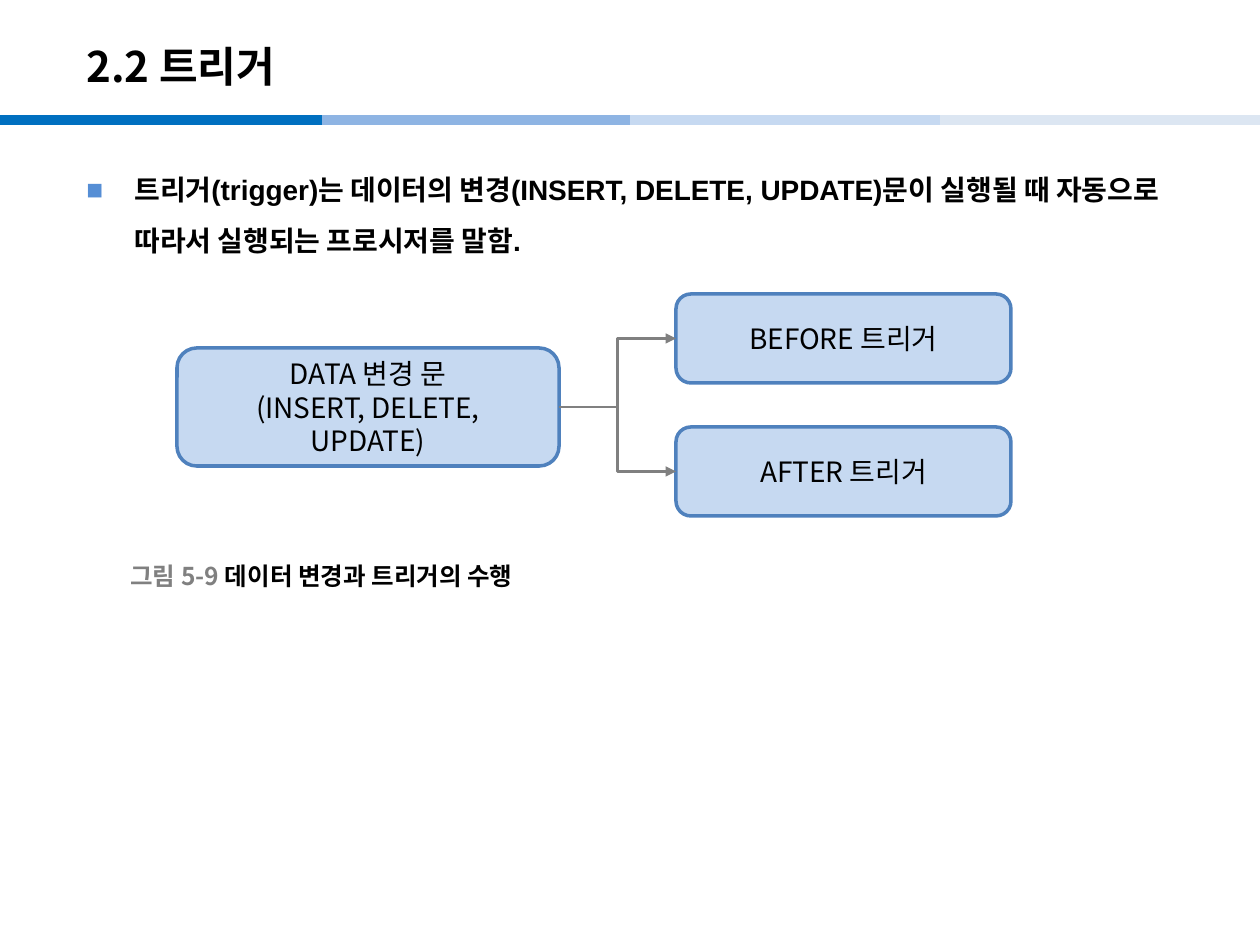
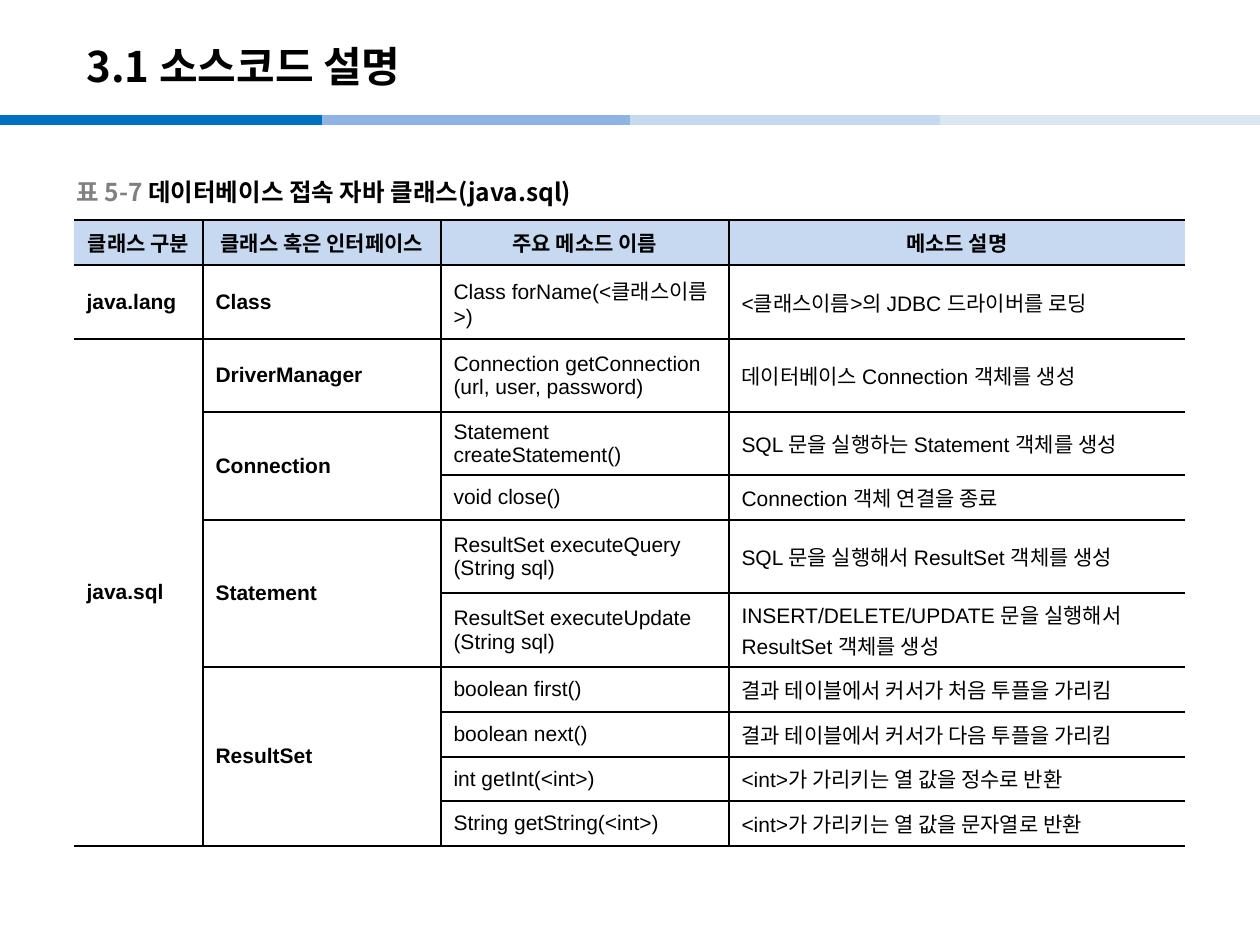
from itertools import pairwise

from lxml.etree import SubElement
from pptx import Presentation
from pptx.dml.color import RGBColor
from pptx.enum.shapes import MSO_CONNECTOR as Connector, MSO_SHAPE as Preset
from pptx.enum.text import MSO_ANCHOR as Anchor, PP_ALIGN as Align
from pptx.oxml.ns import qn
from pptx.util import Emu, Pt

SCALE = 914400 / 126
SANS = "Noto Sans CJK KR"
ARIAL = "Arial"
COLORS = {
    "text": "000000",
    "paper": "FFFFFF",
    "muted": "808080",
    "bullet": "558ED5",
    "outline": "4F81BD",
    "band1": "0070C0",
    "band2": "8EB4E3",
    "pale": "C6D9F1",
    "band4": "DCE6F2",
}
BANDS = ("band1", "band2", "pale", "band4")
BAND_EDGES = (0, 322, 630, 940, 1260)
BAND_Y = 120
LEFT_SITE, RIGHT_SITE = 1, 3

COLUMN_WIDTHS = (129, 238, 288, 456)
ROW_HEIGHTS = (45, 74, 73, 60, 45, 73, 74, 45, 45, 44, 45)
CLASS_ROWS = (
    ("클래스 구분", "클래스 혹은 인터페이스", "주요 메소드 이름", "메소드 설명"),
    ("java.lang", "Class", "Class forName(<클래스이름>)", "<클래스이름>의 JDBC 드라이버를 로딩"),
    ("java.sql", "DriverManager", "Connection getConnection\n(url, user, password)",
     "데이터베이스 Connection 객체를 생성"),
    ("", "Connection", "Statement createStatement()", "SQL 문을 실행하는 Statement 객체를 생성"),
    ("", "", "void close()", "Connection 객체 연결을 종료"),
    ("", "Statement", "ResultSet executeQuery\n(String sql)", "SQL 문을 실행해서 ResultSet 객체를 생성"),
    ("", "", "ResultSet executeUpdate\n(String sql)",
     "INSERT/DELETE/UPDATE 문을 실행해서\nResultSet 객체를 생성"),
    ("", "ResultSet", "boolean first()", "결과 테이블에서 커서가 처음 투플을 가리킴"),
    ("", "", "boolean next()", "결과 테이블에서 커서가 다음 투플을 가리킴"),
    ("", "", "int getInt(<int>)", "<int>가 가리키는 열 값을 정수로 반환"),
    ("", "", "String getString(<int>)", "<int>가 가리키는 열 값을 문자열로 반환"),
)
ROW_SPANS = ((0, 2, 10), (1, 3, 4), (1, 5, 6), (1, 7, 10))


def px(length):
    return Emu(round(length * SCALE))


def color(name):
    return RGBColor.from_string(COLORS[name])


class Deck:
    def __init__(self):
        self.presentation = Presentation()
        self.presentation.slide_width = px(1260)
        self.presentation.slide_height = px(945)
        self.slide = None

    def add_slide(self, title):
        self.slide = self.presentation.slides.add_slide(self.presentation.slide_layouts[6])
        for name, (start, end) in zip(BANDS, pairwise(BAND_EDGES)):
            band = self.slide.shapes.add_connector(
                Connector.STRAIGHT, px(start), px(BAND_Y), px(end), px(BAND_Y))
            self.style_line(band, name, 6)
        self.text(74, 28, 1042, 76, title, 24)

    def style_line(self, connector, name, width):
        connector.line.color.rgb = color(name)
        connector.line.width = Pt(width)
        SubElement(connector._element.spPr, qn("a:effectLst"))

    def style_paragraph(self, paragraph, size, face=SANS, bold=False, align=Align.LEFT):
        paragraph.alignment = align
        font = paragraph.font
        font.size = Pt(size)
        font.name = face
        font.bold = bold
        font.color.rgb = color("text")
        default_run = paragraph._p.pPr.find(qn("a:defRPr"))
        SubElement(default_run, qn("a:ea"), typeface=SANS)

    def fill_text(self, frame, text, *style):
        frame.text = text
        for paragraph in frame.paragraphs:
            self.style_paragraph(paragraph, *style)

    def text(self, left, top, width, height, text, size, face=SANS, anchor=Anchor.MIDDLE):
        box = self.slide.shapes.add_textbox(px(left), px(top), px(width), px(height))
        frame = box.text_frame
        frame.word_wrap = True
        frame.vertical_anchor = anchor
        self.fill_text(frame, text, size, face, True)
        return frame.paragraphs[0]

    def bullet(self, left, top, width, height, text):
        paragraph = self.text(left, top, width, height, text, 16, ARIAL, Anchor.TOP)
        paragraph.line_spacing = 1.5
        properties = paragraph._p.pPr
        properties.set("marL", str(px(48)))
        properties.set("indent", str(px(-48)))
        default_run = properties.find(qn("a:defRPr"))
        bullet_color = SubElement(properties, qn("a:buClr"))
        SubElement(bullet_color, qn("a:srgbClr"), val=COLORS["bullet"])
        SubElement(properties, qn("a:buFont"), typeface=ARIAL)
        SubElement(properties, qn("a:buChar"), char="■")
        properties.append(default_run)

    def caption(self, left, top, label, text):
        paragraph = self.text(left, top, 700, 39, label, 14)
        paragraph.runs[0].font.color.rgb = color("muted")
        paragraph.add_run().text = text

    def box(self, left, top, width, height, text):
        shape = self.slide.shapes.add_shape(
            Preset.ROUNDED_RECTANGLE, px(left), px(top), px(width), px(height))
        shape.shadow.inherit = False
        shape.fill.solid()
        shape.fill.fore_color.rgb = color("pale")
        shape.line.color.rgb = color("outline")
        shape.line.width = Pt(2)
        frame = shape.text_frame
        frame.word_wrap = True
        frame.margin_left = frame.margin_right = px(20)
        frame.vertical_anchor = Anchor.MIDDLE
        self.fill_text(frame, text, 16, SANS, False, Align.CENTER)
        return shape

    def arrow(self, source, target):
        connector = self.slide.shapes.add_connector(Connector.ELBOW, 0, 0, 0, 0)
        connector.begin_connect(source, RIGHT_SITE)
        connector.end_connect(target, LEFT_SITE)
        self.style_line(connector, "muted", 1.5)
        SubElement(connector.line._get_or_add_ln(), qn("a:tailEnd"), type="triangle")

    def border(self, cell, side, visible):
        line = SubElement(cell._tc.get_or_add_tcPr(), qn(f"a:ln{side}"), w=str(Pt(1)))
        if visible:
            fill = SubElement(line, qn("a:solidFill"))
            SubElement(fill, qn("a:srgbClr"), val=COLORS["text"])
        else:
            SubElement(line, qn("a:noFill"))

    def table(self, left, top, widths, heights, rows, spans):
        table = self.slide.shapes.add_table(
            len(rows), len(widths), px(left), px(top), px(sum(widths)), px(sum(heights))).table
        table.first_row = table.horz_banding = False
        for column, width in zip(table.columns, widths):
            column.width = px(width)
        for row, height in zip(table.rows, heights):
            row.height = px(height)
        for row_index, row in enumerate(rows):
            header = row_index == 0
            for column_index, text in enumerate(row):
                cell = table.cell(row_index, column_index)
                cell.vertical_anchor = Anchor.MIDDLE
                self.border(cell, "L", column_index > 0)
                self.border(cell, "R", column_index < len(widths) - 1)
                self.border(cell, "T", True)
                self.border(cell, "B", True)
                cell.fill.solid()
                cell.fill.fore_color.rgb = color("pale" if header else "paper")
                self.fill_text(cell.text_frame, text, 12, ARIAL, header or column_index < 2,
                               Align.CENTER if header else Align.LEFT)
        for column, first, last in spans:
            table.cell(first, column).merge(table.cell(last, column))


def main():
    deck = Deck()

    deck.add_slide("2.2 트리거")
    deck.bullet(74, 150, 1111, 753,
                "트리거(trigger)는 데이터의 변경(INSERT, DELETE, UPDATE)문이 실행될 때 "
                "자동으로 따라서 실행되는 프로시저를 말함.")
    change = deck.box(177, 348, 382, 118, "DATA 변경 문\n(INSERT, DELETE, UPDATE)")
    triggers = [deck.box(676, top, 335, 89, f"{name} 트리거")
                for name, top in (("BEFORE", 294), ("AFTER", 427))]
    for trigger in triggers:
        deck.arrow(change, trigger)
    deck.caption(118, 556, "그림 5-9 ", "데이터 변경과 트리거의 수행")

    deck.add_slide("3.1 소스코드 설명")
    deck.table(74, 220, COLUMN_WIDTHS, ROW_HEIGHTS, CLASS_ROWS, ROW_SPANS)
    deck.caption(64, 172, "표 5-7 ", "데이터베이스 접속 자바 클래스(java.sql)")

    deck.presentation.save("out.pptx")


if __name__ == "__main__":
    main()
